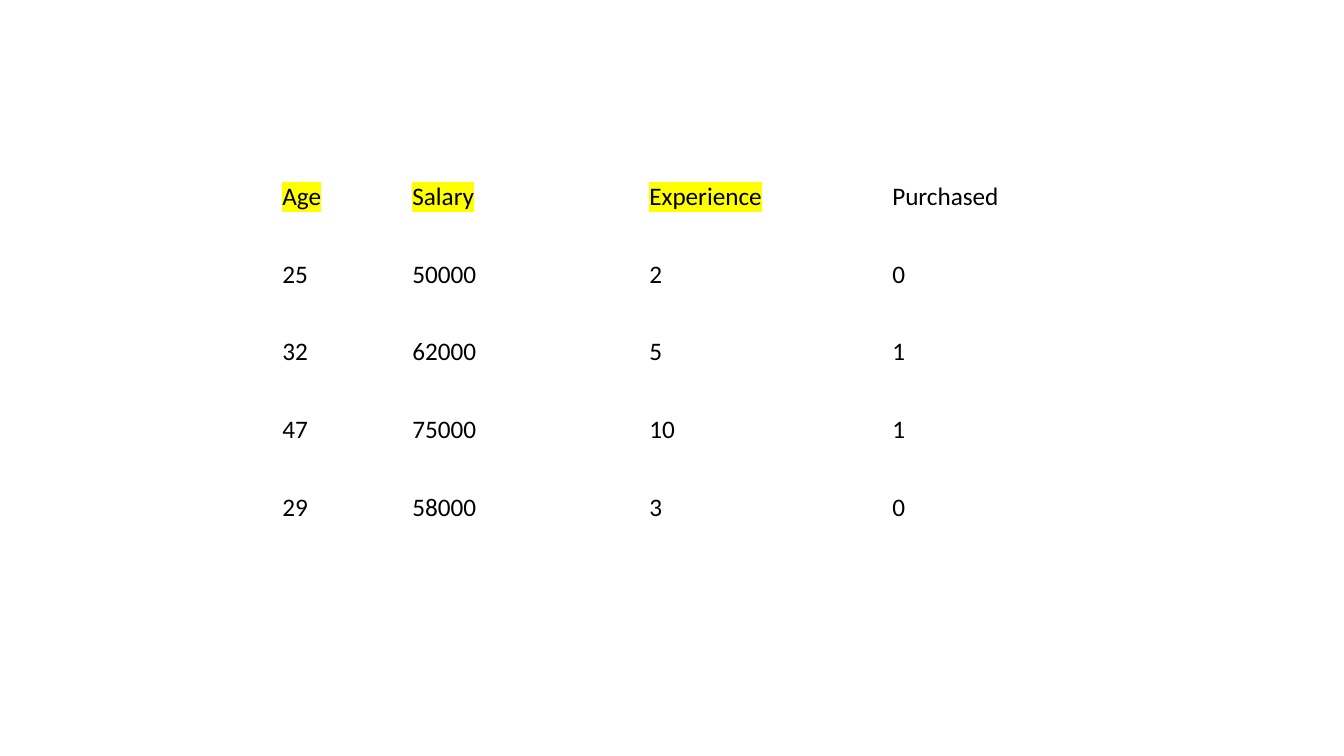
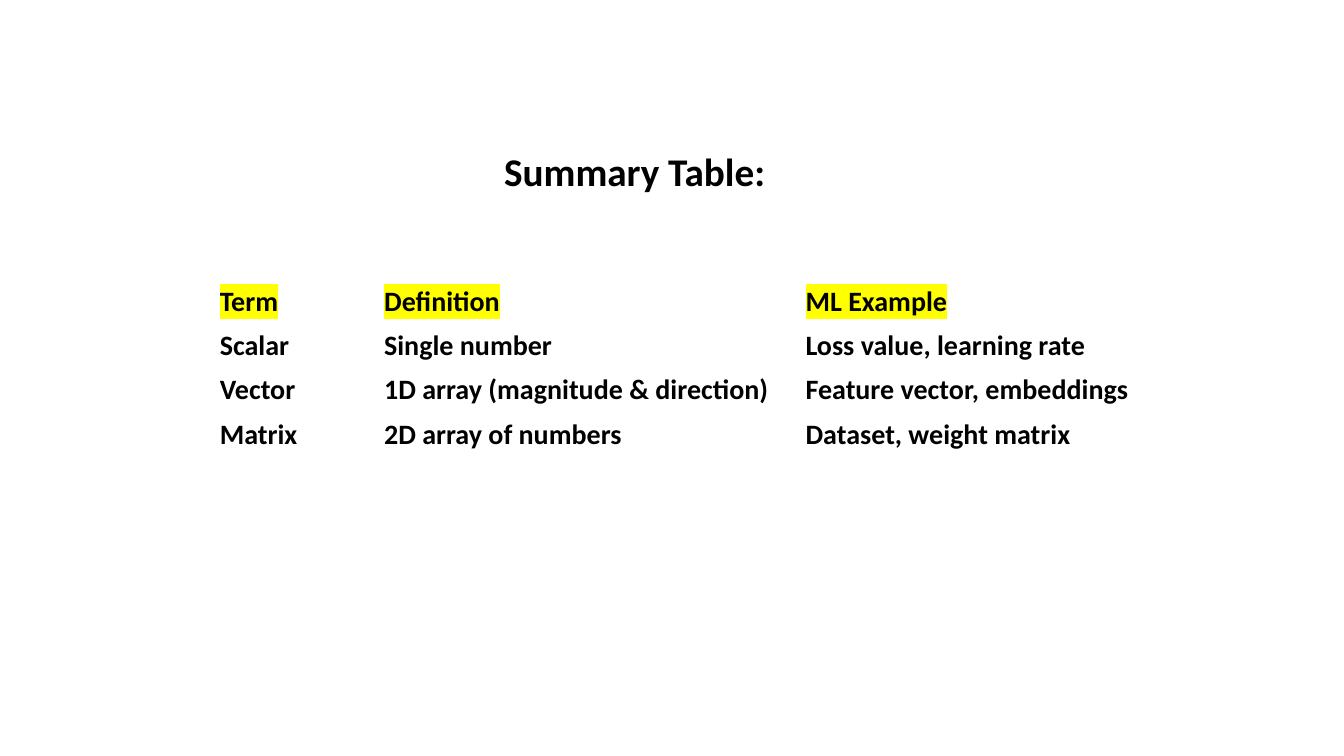
from lxml.etree import SubElement
from pptx import Presentation
from pptx.dml.color import RGBColor
from pptx.enum.text import MSO_ANCHOR, PP_ALIGN
from pptx.oxml.ns import qn
from pptx.util import Inches, Pt

COLORS = {"text": "000000", "marker": "FFFF00"}
FONT = "Calibri"
TITLE_ONLY, BLANK = 5, 6

PURCHASES = {
    "rows": [
        ("Age", "Salary", "Experience", "Purchased"),
        ("25", "50000", "2", "0"),
        ("32", "62000", "5", "1"),
        ("47", "75000", "10", "1"),
        ("29", "58000", "3", "0"),
    ],
    "marked": {"Age", "Salary", "Experience"},
    "origin": (2.7, 1.57),
    "widths": (1.29, 2.35, 2.41, 3.4),
    "row_height": 0.77,
    "format": {"size": 18, "bold": False},
}
SUMMARY = {
    "title": "Summary Table:",
    "rows": [
        ("Term", "Definition", "ML Example"),
        ("Scalar", "Single number", "Loss value, learning rate"),
        ("Vector", "1D array (magnitude & direction)", "Feature vector, embeddings"),
        ("Matrix", "2D array of numbers", "Dataset, weight matrix"),
    ],
    "marked": {"Term", "Definition", "ML Example"},
    "origin": (2.08, 2.77),
    "widths": (1.63, 4.18, 4.38),
    "row_height": 0.43,
    "format": {"size": 20, "bold": True},
}
TITLE_BOX = (4.9, 1.41, 2.94, 0.57)


def write(frame, text, size, bold=False, marker=None):
    paragraph = frame.paragraphs[0]
    paragraph.alignment = PP_ALIGN.LEFT
    run = paragraph.add_run()
    run.text = text
    font = run.font
    font.size, font.bold, font.name = Pt(size), bold, FONT
    font.color.rgb = RGBColor.from_string(COLORS["text"])
    if marker:
        properties = paragraph.runs[0].font.fill
        run_properties = run._r.get_or_add_rPr()
        highlight = SubElement(run_properties, qn("a:highlight"))
        SubElement(highlight, qn("a:srgbClr"), val=COLORS[marker])
        run_properties.find(qn("a:solidFill")).addnext(highlight)


def add_title(slide, text):
    title = slide.shapes.title
    title.left, title.top, title.width, title.height = map(Inches, TITLE_BOX)
    title.text_frame.word_wrap = True
    write(title.text_frame, text, size=28, bold=True)


def add_data_table(slide, content):
    rows, widths = content["rows"], content["widths"]
    height = content["row_height"]
    extent = (*content["origin"], sum(widths), height * len(rows))
    table = slide.shapes.add_table(len(rows), len(widths), *map(Inches, extent)).table
    table.first_row = table.horz_banding = False
    for column, width in zip(table.columns, widths):
        column.width = Inches(width)
    for row, values in zip(table.rows, rows):
        row.height = Inches(height)
        for cell, value in zip(row.cells, values):
            cell.fill.background()
            cell.vertical_anchor = MSO_ANCHOR.MIDDLE
            marker = "marker" if value in content["marked"] else None
            write(cell.text_frame, value, marker=marker, **content["format"])


def main():
    deck = Presentation()
    deck.slide_width, deck.slide_height = Inches(13.33), Inches(7.5)
    for content in (PURCHASES, SUMMARY):
        layout = TITLE_ONLY if "title" in content else BLANK
        slide = deck.slides.add_slide(deck.slide_layouts[layout])
        if "title" in content:
            add_title(slide, content["title"])
        add_data_table(slide, content)
    deck.save("out.pptx")


if __name__ == "__main__":
    main()
